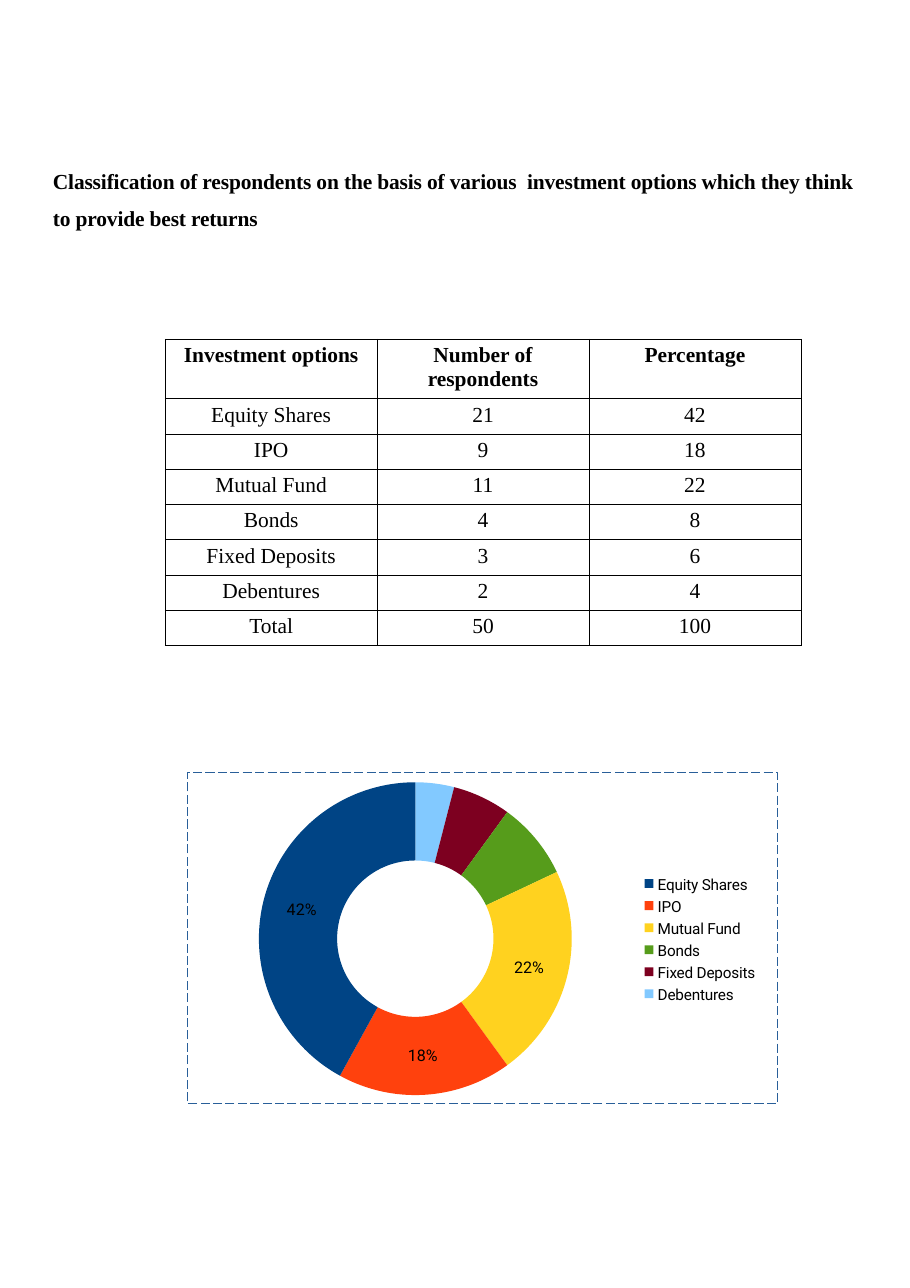
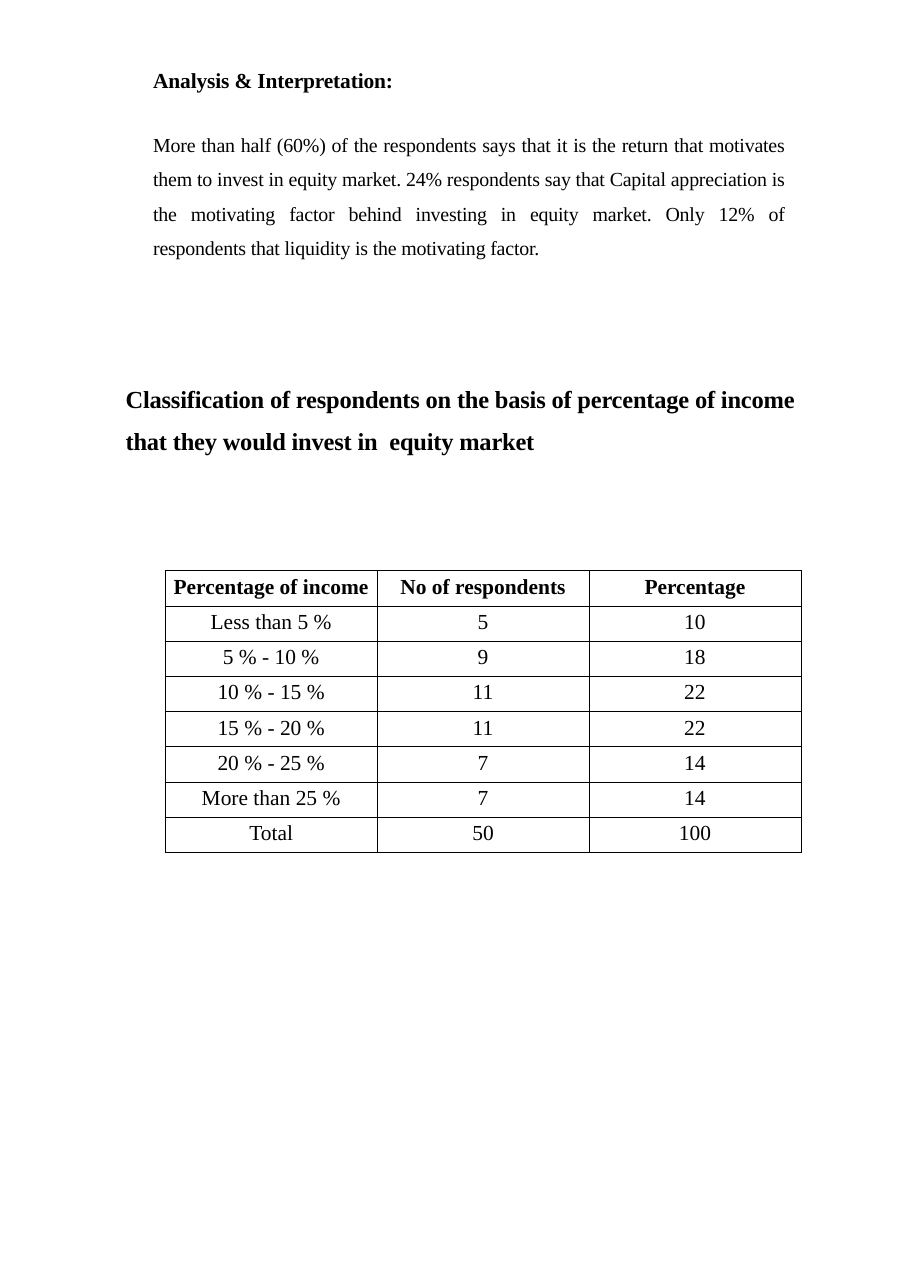
from dataclasses import dataclass

import lxml.etree
import pptx
import pptx.chart.data
import pptx.dml.color
import pptx.enum.chart
import pptx.enum.dml
import pptx.enum.shapes
import pptx.enum.text
import pptx.oxml
import pptx.oxml.ns
import pptx.util

Inches = pptx.util.Inches
Pt = pptx.util.Pt
Align = pptx.enum.text.PP_ALIGN
qn = pptx.oxml.ns.qn

SERIF, SANS = "Times New Roman", "Roboto"
COLORS = {
    "text": "000000",
    "frame": "295F99",
    "Equity Shares": "004485",
    "IPO": "FF410D",
    "Mutual Fund": "FFD21F",
    "Bonds": "569C1B",
    "Fixed Deposits": "7D0020",
    "Debentures": "82C9FF",
}


@dataclass
class Para:
    text: str
    size: float
    bold: bool = False
    font: str = SERIF
    align: Align = Align.LEFT
    spacing: float | pptx.util.Length = 1.0
    before: float = 0
    tracking: float = -0.1


@dataclass
class Table:
    top: float
    header: tuple[str, ...]
    rows: list[tuple[str, int, int]]
    header_height: float = 0.32


OPTIONS = Table(
    3.08,
    ("Investment options", "Number of\vrespondents", "Percentage"),
    [
        ("Equity Shares", 21, 42),
        ("IPO", 9, 18),
        ("Mutual Fund", 11, 22),
        ("Bonds", 4, 8),
        ("Fixed Deposits", 3, 6),
        ("Debentures", 2, 4),
        ("Total", 50, 100),
    ],
    header_height=0.54,
)
INCOME = Table(
    5.18,
    ("Percentage of income", "No of respondents", "Percentage"),
    [
        ("Less than 5 %", 5, 10),
        ("5 % - 10 %", 9, 18),
        ("10 % - 15 %", 11, 22),
        ("15 % - 20 %", 11, 22),
        ("20 % - 25 %", 7, 14),
        ("More than 25 %", 7, 14),
        ("Total", 50, 100),
    ],
)


def rgb(name: str) -> pptx.dml.color.RGBColor:
    return pptx.dml.color.RGBColor.from_string(COLORS[name])


def fill_paragraph(p, para: Para) -> None:
    p.text = para.text
    p.alignment = para.align
    p.line_spacing = para.spacing
    p.space_before = Pt(para.before)
    for r in p.runs:
        r.font.name = para.font
        r.font.size = Pt(para.size)
        r.font.bold = para.bold
        r.font.color.rgb = rgb("text")
        if para.tracking:
            r._r.get_or_add_rPr().set("spc", str(round(para.tracking * 100)))


def add_text(s, left: float, top: float, width: float, height: float,
             paras: list[Para]) -> None:
    sp = s.shapes.add_textbox(Inches(left), Inches(top), Inches(width), Inches(height))
    tf = sp.text_frame
    tf.word_wrap = True
    tf.margin_left = tf.margin_right = tf.margin_bottom = 0
    tf.margin_top = Inches(0.01)
    for i, para in enumerate(paras):
        fill_paragraph(tf.add_paragraph() if i else tf.paragraphs[0], para)


def add_title(s, left: float, top: float, width: float, text: str, size: float) -> None:
    add_text(s, left, top, width, 0.75, [Para(text, size, bold=True, spacing=1.44)])


def set_borders(cell) -> None:
    tc_pr = cell._tc.get_or_add_tcPr()
    for side in ("a:lnL", "a:lnR", "a:lnT", "a:lnB"):
        ln = lxml.etree.SubElement(tc_pr, qn(side), w=str(Pt(0.5)))
        fill = lxml.etree.SubElement(ln, qn("a:solidFill"))
        lxml.etree.SubElement(fill, qn("a:srgbClr"), val=COLORS["text"])


def add_table(s, table: Table) -> None:
    rows = [table.header, *table.rows]
    heights = [table.header_height] + [0.32] * len(table.rows)
    tbl = s.shapes.add_table(len(rows), len(table.header), Inches(1.5), Inches(table.top),
                             Inches(5.77), Inches(sum(heights))).table
    tbl.first_row = tbl.horz_banding = False
    for column in tbl.columns:
        column.width = Inches(5.77 / len(table.header))
    for i, values in enumerate(rows):
        tbl.rows[i].height = Inches(heights[i])
        for j, value in enumerate(values):
            cell = tbl.cell(i, j)
            cell.margin_left = cell.margin_right = cell.margin_bottom = 0
            cell.margin_top = Inches(0.04)
            text = str(value)
            fill_paragraph(
                cell.text_frame.paragraphs[0],
                Para(text, 14, bold=i == 0, align=Align.CENTER,
                     before=3.6 if "\v" in text else 2.5, tracking=0))
            set_borders(cell)
            cell.fill.background()


def fill_chart_area(chart) -> None:
    """Stretch the plot over the whole chart frame."""
    plot_area = chart._chartSpace.chart.plotArea
    for old in plot_area.findall(qn("c:layout")):
        plot_area.remove(old)
    layout = lxml.etree.Element(qn("c:layout"))
    manual = lxml.etree.SubElement(layout, qn("c:manualLayout"))
    for tag, val in (("layoutTarget", "inner"), ("xMode", "edge"), ("yMode", "edge"),
                     ("x", "0"), ("y", "0"), ("w", "1"), ("h", "1")):
        lxml.etree.SubElement(manual, qn(f"c:{tag}"), val=val)
    plot_area.insert(0, layout)


def add_doughnut(s, shares: list[tuple[str, int]]) -> None:
    """Draw the shares anticlockwise from the top; label those of 10% or more."""
    clockwise = shares[::-1]
    data = pptx.chart.data.CategoryChartData()
    data.categories = [name for name, _ in clockwise]
    data.add_series("Percentage", [share for _, share in clockwise])
    chart = s.shapes.add_chart(pptx.enum.chart.XL_CHART_TYPE.DOUGHNUT, Inches(2.35),
                               Inches(7.1), Inches(2.84), Inches(2.84), data).chart
    chart.has_legend = chart.has_title = False
    chart.font.name, chart.font.size = SANS, Pt(10.5)
    chart.font.color.rgb = rgb("text")
    fill_chart_area(chart)

    plot = chart.plots[0]
    plot.vary_by_categories = True
    for i, (name, _) in enumerate(clockwise):
        fill = plot.series[0].points[i].format.fill
        fill.solid()
        fill.fore_color.rgb = rgb(name)
    plot.has_data_labels = True
    labels = plot.data_labels
    labels.show_value, labels.show_percentage = True, False
    labels.number_format, labels.number_format_is_linked = '[<10]"";0"%"', False
    labels.font.name, labels.font.size = SANS, Pt(10.5)
    labels.font.color.rgb = rgb("text")


def add_rectangle(s, left: float, top: float, width: float, height: float):
    sp = s.shapes.add_shape(pptx.enum.shapes.MSO_SHAPE.RECTANGLE, Inches(left),
                            Inches(top), Inches(width), Inches(height))
    sp.shadow.inherit = False
    return sp


def add_legend(s, names: list[str]) -> None:
    pitch = 0.2
    for i, name in enumerate(names):
        sp = add_rectangle(s, 5.85, 7.98 + i * pitch, 0.08, 0.08)
        sp.fill.solid()
        sp.fill.fore_color.rgb = rgb(name)
        sp.line.fill.background()
    add_text(s, 5.97, 7.9, 1.05, 1.22,
             [Para(name, 10, font=SANS, spacing=Pt(pitch * 72)) for name in names])


def add_chart_frame(s) -> None:
    sp = add_rectangle(s, 1.7, 7.01, 5.36, 3.01)
    sp.fill.background()
    sp.line.color.rgb = rgb("frame")
    sp.line.width = Pt(0.75)
    sp.line.dash_style = pptx.enum.dml.MSO_LINE.LONG_DASH


def build_options_slide(s) -> None:
    add_title(s, 0.48, 1.41, 7.42,
              "Classification of respondents on the basis of various  investment "
              "options which they think to provide best returns", 14)
    add_table(s, OPTIONS)
    shares = [(name, share) for name, _, share in OPTIONS.rows[:-1]]
    add_doughnut(s, shares)
    add_legend(s, [name for name, _ in shares])
    add_chart_frame(s)


def build_income_slide(s) -> None:
    add_text(s, 1.39, 0.6, 5.73, 1.76, [
        Para("Analysis & Interpretation:", 14, bold=True, before=1),
        Para("More than half (60%) of the respondents says that it is the return that "
             "motivates them to invest in equity market. 24% respondents say that Capital "
             "appreciation is the motivating factor behind investing in equity market. "
             "Only 12% of respondents that liquidity is the motivating factor.",
             13, align=Align.JUSTIFY, spacing=1.44, before=19),
    ])
    add_title(s, 1.14, 3.36, 6.08,
              "Classification of respondents on the basis of percentage of income that "
              "they would invest in  equity market", 16)
    add_table(s, INCOME)


def main() -> None:
    prs = pptx.Presentation()
    prs.slide_width, prs.slide_height = Inches(8.26), Inches(11.69)
    for build in (build_options_slide, build_income_slide):
        build(prs.slides.add_slide(prs.slide_layouts[6]))
    prs.save("out.pptx")


if __name__ == "__main__":
    main()
